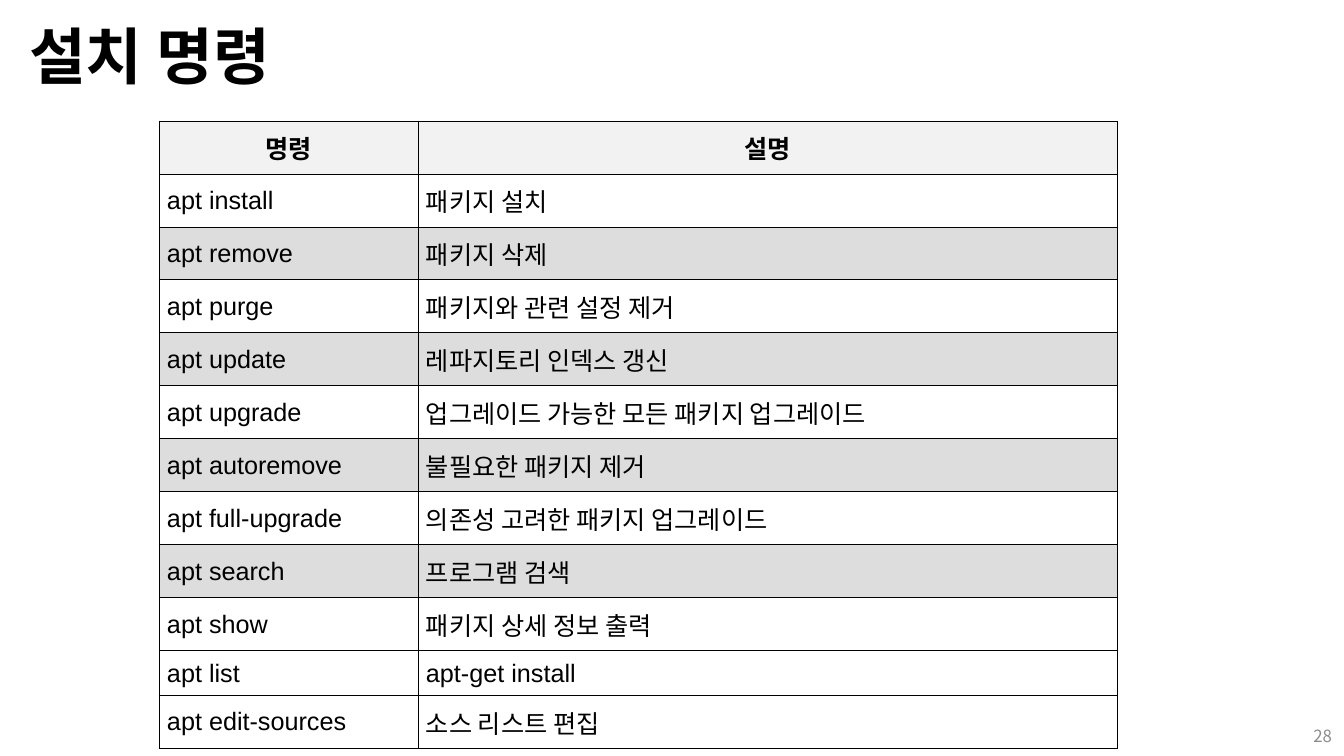
from lxml.etree import SubElement
from pptx import Presentation
from pptx.dml.color import RGBColor
from pptx.enum.text import MSO_ANCHOR as Anchor, PP_ALIGN as Align
from pptx.oxml import parse_xml
from pptx.oxml.ns import nsdecls, qn
from pptx.util import Pt

EMU_PER_PIXEL = 914400 / 100.8

BLACK = RGBColor(0x00, 0x00, 0x00)
WHITE = RGBColor(0xFF, 0xFF, 0xFF)
HEADER_GRAY = RGBColor(0xF2, 0xF2, 0xF2)
BAND_GRAY = RGBColor(0xDD, 0xDD, 0xDD)
NUMBER_GRAY = RGBColor(0x8C, 0x8C, 0x8C)

KOREAN_FONT = "Noto Sans CJK KR"
LATIN_FONT = "Arial"

HEADER = ("명령", "설명")
COMMANDS = [
    ("apt install", "패키지 설치"),
    ("apt remove", "패키지 삭제"),
    ("apt purge", "패키지와 관련 설정 제거"),
    ("apt update", "레파지토리 인덱스 갱신"),
    ("apt upgrade", "업그레이드 가능한 모든 패키지 업그레이드"),
    ("apt autoremove", "불필요한 패키지 제거"),
    ("apt full-upgrade", "의존성 고려한 패키지 업그레이드"),
    ("apt search", "프로그램 검색"),
    ("apt show", "패키지 상세 정보 출력"),
    ("apt list", "apt-get install"),
    ("apt edit-sources", "소스 리스트 편집"),
]
LAST_BANDED_ROW = 8
COLUMN_WIDTHS = (259, 699)
ROW_HEIGHT = 53
LATIN_ROW_HEIGHT = 45
CELL_MARGIN = 8


def px(pixels):
    return round(pixels * EMU_PER_PIXEL)


def write_text(frame, text, size, color, font=KOREAN_FONT, bold=False, align=Align.LEFT):
    paragraph = frame.paragraphs[0]
    paragraph.alignment = align
    run = paragraph.add_run()
    run.text = text
    run.font.name = font
    run.font.size = Pt(size)
    run.font.bold = bold
    run.font.color.rgb = color
    SubElement(run._r.get_or_add_rPr(), qn("a:ea"), typeface=KOREAN_FONT)
    return paragraph


def set_title(slide, text):
    title = slide.shapes.title
    title.left, title.top, title.width, title.height = map(px, (19, 19, 1303, 82))
    title.text_frame.vertical_anchor = Anchor.MIDDLE
    paragraph = write_text(title.text_frame, text, 44, BLACK, bold=True)
    paragraph.line_spacing = 0.9


def set_borders(cell):
    properties = cell._tc.get_or_add_tcPr()
    for position, side in enumerate("LRTB"):
        properties.insert(position, parse_xml(
            f'<a:ln{side} {nsdecls("a")} w="{Pt(0.75)}"><a:solidFill>'
            f'<a:srgbClr val="{BLACK}"/></a:solidFill></a:ln{side}>'))


def fill_cell(cell, text, fill, is_header):
    cell.fill.solid()
    cell.fill.fore_color.rgb = fill
    cell.vertical_anchor = Anchor.MIDDLE
    cell.margin_left = cell.margin_right = px(CELL_MARGIN)
    cell.margin_top = cell.margin_bottom = px(CELL_MARGIN)
    write_text(cell.text_frame, text, 18, BLACK, LATIN_FONT, is_header,
               Align.CENTER if is_header else Align.LEFT)
    set_borders(cell)


def row_fill(row_index):
    if row_index == 0:
        return HEADER_GRAY
    banded = row_index % 2 == 0 and row_index <= LAST_BANDED_ROW
    return BAND_GRAY if banded else WHITE


def add_command_table(slide):
    rows = [HEADER, *COMMANDS]
    heights = [LATIN_ROW_HEIGHT if "".join(row).isascii() else ROW_HEIGHT for row in rows]
    table = slide.shapes.add_table(
        len(rows), len(HEADER), px(159), px(121),
        px(sum(COLUMN_WIDTHS)), px(sum(heights))).table
    table.first_row = table.horz_banding = False
    for column, width in zip(table.columns, COLUMN_WIDTHS):
        column.width = px(width)
    for row_index, (row, height) in enumerate(zip(rows, heights)):
        table.rows[row_index].height = px(height)
        for column_index, text in enumerate(row):
            fill_cell(table.cell(row_index, column_index), text,
                      row_fill(row_index), row_index == 0)


def add_page_number(slide, number):
    box = slide.shapes.add_textbox(px(1292), px(716), px(50), px(40))
    frame = box.text_frame
    frame.word_wrap = True
    frame.vertical_anchor = Anchor.MIDDLE
    write_text(frame, number, 12, NUMBER_GRAY, align=Align.RIGHT)


def main():
    presentation = Presentation()
    presentation.slide_width = px(1344)
    presentation.slide_height = px(756)
    slide = presentation.slides.add_slide(presentation.slide_layouts[5])
    set_title(slide, "설치 명령")
    add_command_table(slide)
    add_page_number(slide, "28")
    presentation.save("out.pptx")


main()
